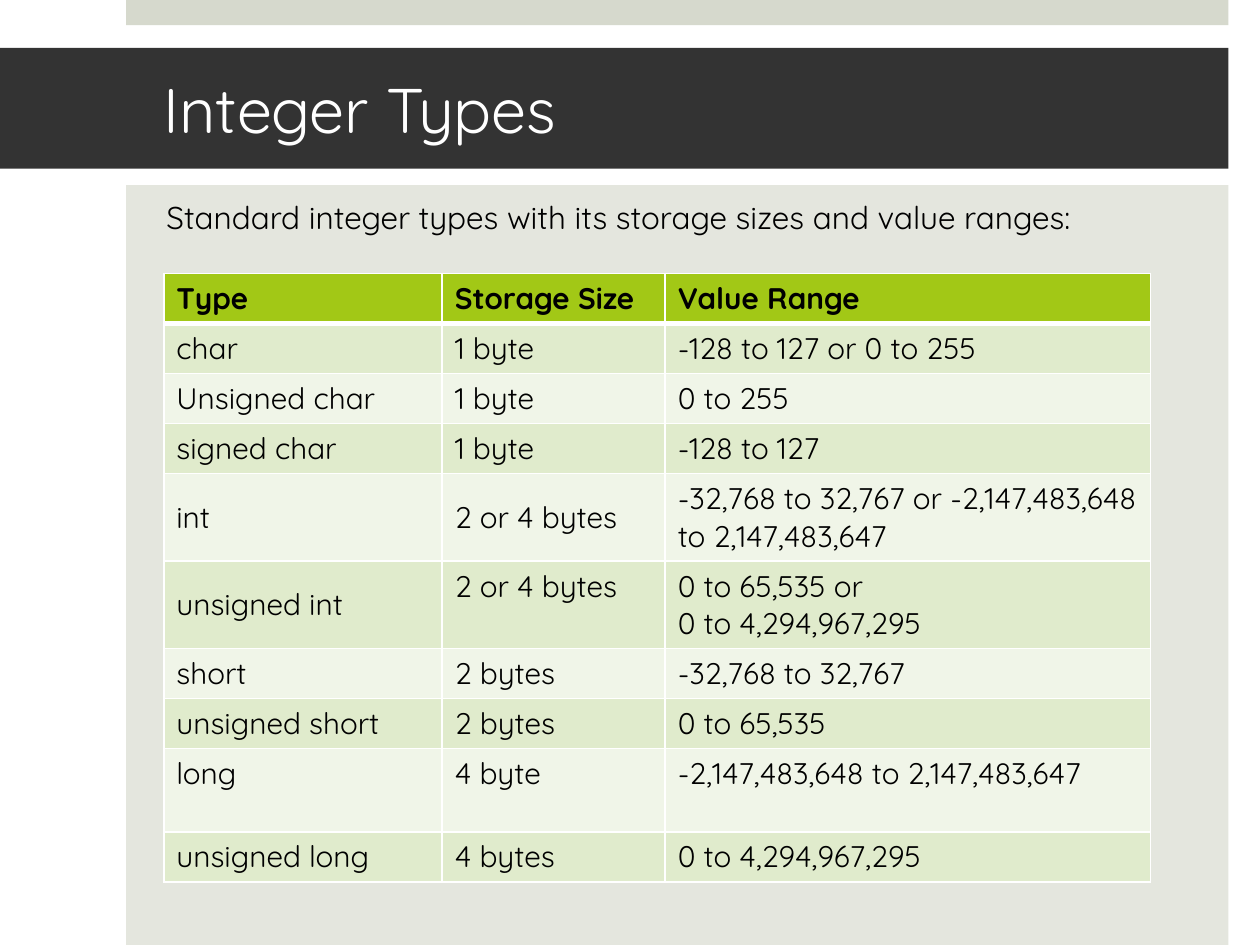
from dataclasses import dataclass

from lxml.etree import SubElement
from pptx import Presentation
from pptx.dml.color import RGBColor as Color
from pptx.enum.shapes import MSO_SHAPE as Shape
from pptx.enum.text import MSO_ANCHOR as Anchor, PP_ALIGN as Align
from pptx.oxml.ns import qn
from pptx.util import Inches, Pt


@dataclass(frozen=True)
class Theme:
    font: str = "Quicksand"
    title_size: int = 36
    body_size: int = 18
    table_size: int = 17
    text: str = "000000"
    white: str = "FFFFFF"
    title_band: str = "333333"
    top_band: str = "D6D9CD"
    panel: str = "E4E6DE"
    header: str = "A2C816"
    stripes: tuple = ("F0F5E8", "E0EBCC")
    rule: int = 1
    header_rule: int = 3


class SlideBuilder:
    COLUMNS, ROWS = 100, 75

    def __init__(self, presentation, theme):
        self.theme = theme
        self.column = presentation.slide_width / self.COLUMNS
        self.row = presentation.slide_height / self.ROWS
        self.slide = presentation.slides.add_slide(presentation.slide_layouts[6])

    def place(self, left, top, width, height):
        return (round(left * self.column), round(top * self.row),
                round(width * self.column), round(height * self.row))

    def set_text(self, frame, text, size, color, bold=False):
        frame.word_wrap = True
        frame.text = text
        for paragraph in frame.paragraphs:
            paragraph.alignment = Align.LEFT
            font = paragraph.font
            font.name, font.size, font.bold = self.theme.font, Pt(size), bold
            font.color.rgb = Color.from_string(color)

    def band(self, area, color):
        shape = self.slide.shapes.add_shape(Shape.RECTANGLE, *self.place(*area))
        shape.shadow.inherit = False
        shape.fill.solid()
        shape.fill.fore_color.rgb = Color.from_string(color)
        shape.line.fill.background()
        return shape

    def text_band(self, area, color, text, size, text_color, left, right, edge, anchor):
        frame = self.band(area, color).text_frame
        frame.margin_left = round(left * self.column)
        frame.margin_right = round(right * self.column)
        frame.margin_top = frame.margin_bottom = round(edge * self.row)
        frame.vertical_anchor = anchor
        self.set_text(frame, text, size, text_color)

    def border(self, cell, side, width):
        line = SubElement(cell._tc.get_or_add_tcPr(), qn(f"a:ln{side}"), w=str(Pt(width)))
        fill = SubElement(line, qn("a:solidFill"))
        SubElement(fill, qn("a:srgbClr"), val=self.theme.white)

    def cell(self, cell, text, row, anchor):
        theme = self.theme
        is_header = row == 0
        thick = {(0, "B"), (1, "T")}
        for side in "LRTB":
            self.border(cell, side, theme.header_rule if (row, side) in thick else theme.rule)
        cell.fill.solid()
        cell.fill.fore_color.rgb = Color.from_string(
            theme.header if is_header else theme.stripes[row % 2])
        cell.vertical_anchor = anchor
        self.set_text(cell.text_frame, text, theme.table_size, theme.text, is_header)

    def table(self, left, top, widths, heights, records, middle_cells):
        area = self.place(left, top, sum(widths), sum(heights))
        table = self.slide.shapes.add_table(len(records), len(widths), *area).table
        for column, width in zip(table.columns, widths):
            column.width = round(width * self.column)
        for row, (height, record) in enumerate(zip(heights, records)):
            table.rows[row].height = round(height * self.row)
            for column, text in enumerate(record):
                anchor = Anchor.MIDDLE if (row, column) in middle_cells else Anchor.TOP
                self.cell(table.cell(row, column), text, row, anchor)


INTEGER_TYPES = [
    ("Type", "Storage Size", "Value Range"),
    ("char", "1 byte", "-128 to 127 or 0 to 255"),
    ("Unsigned char", "1 byte", "0 to 255"),
    ("signed char", "1 byte", "-128 to 127"),
    ("int", "2 or 4 bytes", "-32,768 to 32,767 or -2,147,483,648 to 2,147,483,647"),
    ("unsigned int", "2 or 4 bytes", "0 to 65,535 or\n0 to 4,294,967,295"),
    ("short", "2 bytes", "-32,768 to 32,767"),
    ("unsigned short", "2 bytes", "0 to 65,535"),
    ("long", "4 byte", "-2,147,483,648 to 2,147,483,647"),
    ("unsigned long", "4 bytes", "0 to 4,294,967,295"),
]
TALL_TYPES = {"int", "unsigned int", "long"}


def main():
    presentation = Presentation()
    presentation.slide_width, presentation.slide_height = Inches(10), Inches(7.5)
    theme = Theme()
    builder = SlideBuilder(presentation, theme)

    builder.band((10, 0, 87.5, 2), theme.top_band)
    builder.text_band((0, 3.8, 97.5, 9.6), theme.title_band, "Integer Types",
                      theme.title_size, theme.white, 13, 3, 0.5, Anchor.MIDDLE)
    builder.text_band((10, 14.7, 87.5, 60.3), theme.panel,
                      "Standard integer types with its storage sizes and value ranges:",
                      theme.body_size, theme.text, 3.2, 3, 1, Anchor.TOP)

    heights = [6.6 if record[0] in TALL_TYPES else 3.8 for record in INTEGER_TYPES]
    middle_cells = {(row, column) for row in range(1, 7) for column in range(3)} - {(5, 1)}
    builder.table(13, 21.7, (22.1, 17.7, 38.5), heights, INTEGER_TYPES, middle_cells)

    presentation.save("out.pptx")


if __name__ == "__main__":
    main()
